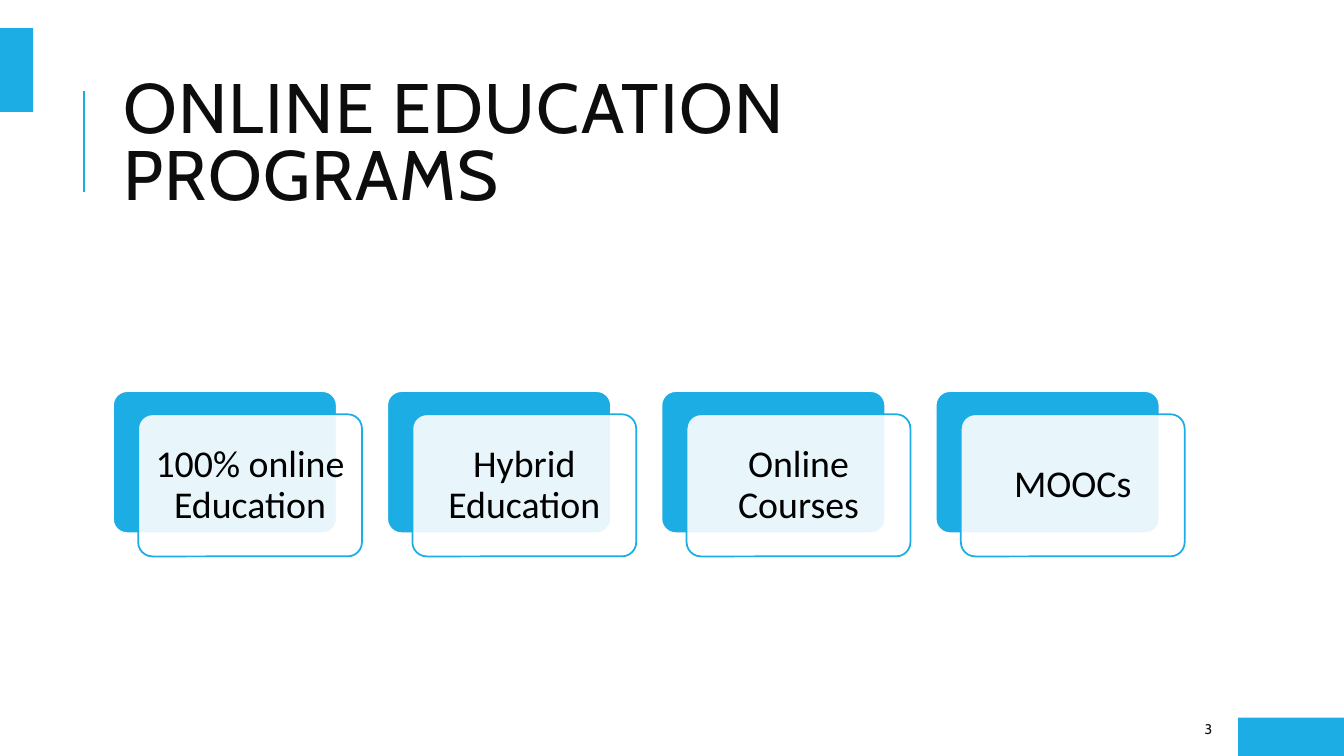
import pptx
import pptx.util
import pptx.dml.color
import pptx.enum.shapes
import pptx.enum.text
import pptx.oxml
import pptx.oxml.ns

Inches = pptx.util.Inches
Pt = pptx.util.Pt
RGBColor = pptx.dml.color.RGBColor
SHAPE = pptx.enum.shapes.MSO_SHAPE
ALIGN = pptx.enum.text.PP_ALIGN
MIDDLE = pptx.enum.text.MSO_ANCHOR.MIDDLE

BLUE = RGBColor(0x1C, 0xAD, 0xE4)
WHITE = RGBColor(0xFF, 0xFF, 0xFF)
BLACK = RGBColor(0x00, 0x00, 0x00)
INK = RGBColor(0x0D, 0x0D, 0x0D)

PROGRAMS = ["100% online Education", "Hybrid Education", "Online Courses", "MOOCs"]
FIRST_LEFT, CARD_TOP, CARD_PITCH = 1.12, 3.88, 2.72
CARD_WIDTH, CARD_HEIGHT = 2.22, 1.41
SHIFT_X, SHIFT_Y = 0.25, 0.23


def add_block(slide, kind, left, top, width, height, fill, line=None):
    block = slide.shapes.add_shape(
        kind, Inches(left), Inches(top), Inches(width), Inches(height))
    block.shadow.inherit = False
    block.fill.solid()
    block.fill.fore_color.rgb = fill
    if line is None:
        block.line.fill.background()
    else:
        block.line.color.rgb = line
        block.line.width = Pt(1.25)
    return block


def add_rounded(slide, left, top, fill, line):
    rounded = add_block(slide, SHAPE.ROUNDED_RECTANGLE, left, top,
                        CARD_WIDTH, CARD_HEIGHT, fill, line)
    rounded.adjustments[0] = 0.1
    return rounded


def set_text(frame, text, font, size, color, align=ALIGN.LEFT):
    frame.word_wrap = True
    frame.auto_size = pptx.enum.text.MSO_AUTO_SIZE.NONE
    frame.vertical_anchor = MIDDLE
    frame.text = text
    paragraph = frame.paragraphs[0]
    paragraph.alignment = align
    paragraph.font.name = font
    paragraph.font.size = Pt(size)
    paragraph.font.color.rgb = color
    return paragraph


def add_program(slide, left, name):
    add_rounded(slide, left, CARD_TOP, BLUE, WHITE)
    card = add_rounded(slide, left + SHIFT_X, CARD_TOP + SHIFT_Y, WHITE, BLUE)
    white = card.fill._xPr.find(".//" + pptx.oxml.ns.qn("a:srgbClr"))
    pptx.oxml.ns.qn("a:alpha")
    white.append(pptx.oxml.parse_xml(
        f'<a:alpha {pptx.oxml.ns.nsdecls("a")} val="90000"/>'))
    frame = card.text_frame
    frame.margin_left = frame.margin_right = Inches(0.11)
    frame.margin_top = frame.margin_bottom = Inches(0.11)
    label = set_text(frame, name, "Calibri", 27, BLACK, ALIGN.CENTER)
    label.line_spacing = 0.9


def add_title(slide, text):
    title = slide.shapes.title
    title.left, title.top = Inches(1.12), Inches(0.64)
    title.width, title.height = Inches(10.63), Inches(1.64)
    heading = set_text(title.text_frame, text, "Cabin", 50, INK)
    heading.line_spacing = 0.8
    heading.runs[0]._r.get_or_add_rPr().set("spc", "100")


def add_title_rule(slide):
    rule = slide.shapes.add_connector(
        pptx.enum.shapes.MSO_CONNECTOR.STRAIGHT,
        Inches(0.83), Inches(1.9), Inches(0.83), Inches(0.9))
    rule.line.color.rgb = BLUE
    rule.line.width = Pt(1.5)
    rule._element.spPr.append(pptx.oxml.parse_xml(
        f'<a:effectLst {pptx.oxml.ns.nsdecls("a")}/>'))


def add_page_number(slide, number):
    box = slide.shapes.add_textbox(
        Inches(11.85), Inches(7.08), Inches(1.06), Inches(0.3))
    page = set_text(box.text_frame, number, "Cabin", 10, INK)
    page.space_after = Pt(6)


def main():
    deck = pptx.Presentation()
    deck.slide_width, deck.slide_height = Inches(13.33), Inches(7.5)
    slide = deck.slides.add_slide(deck.slide_layouts[5])
    add_title_rule(slide)
    add_block(slide, SHAPE.RECTANGLE, 12.28, 7.12, 1.05, 0.38, BLUE)
    add_block(slide, SHAPE.RECTANGLE, 0, 0.28, 0.33, 0.83, BLUE)
    add_title(slide, "ONLINE EDUCATION PROGRAMS")
    for index, name in enumerate(PROGRAMS):
        add_program(slide, FIRST_LEFT + index * CARD_PITCH, name)
    add_page_number(slide, "3")
    deck.save("out.pptx")


if __name__ == "__main__":
    main()
